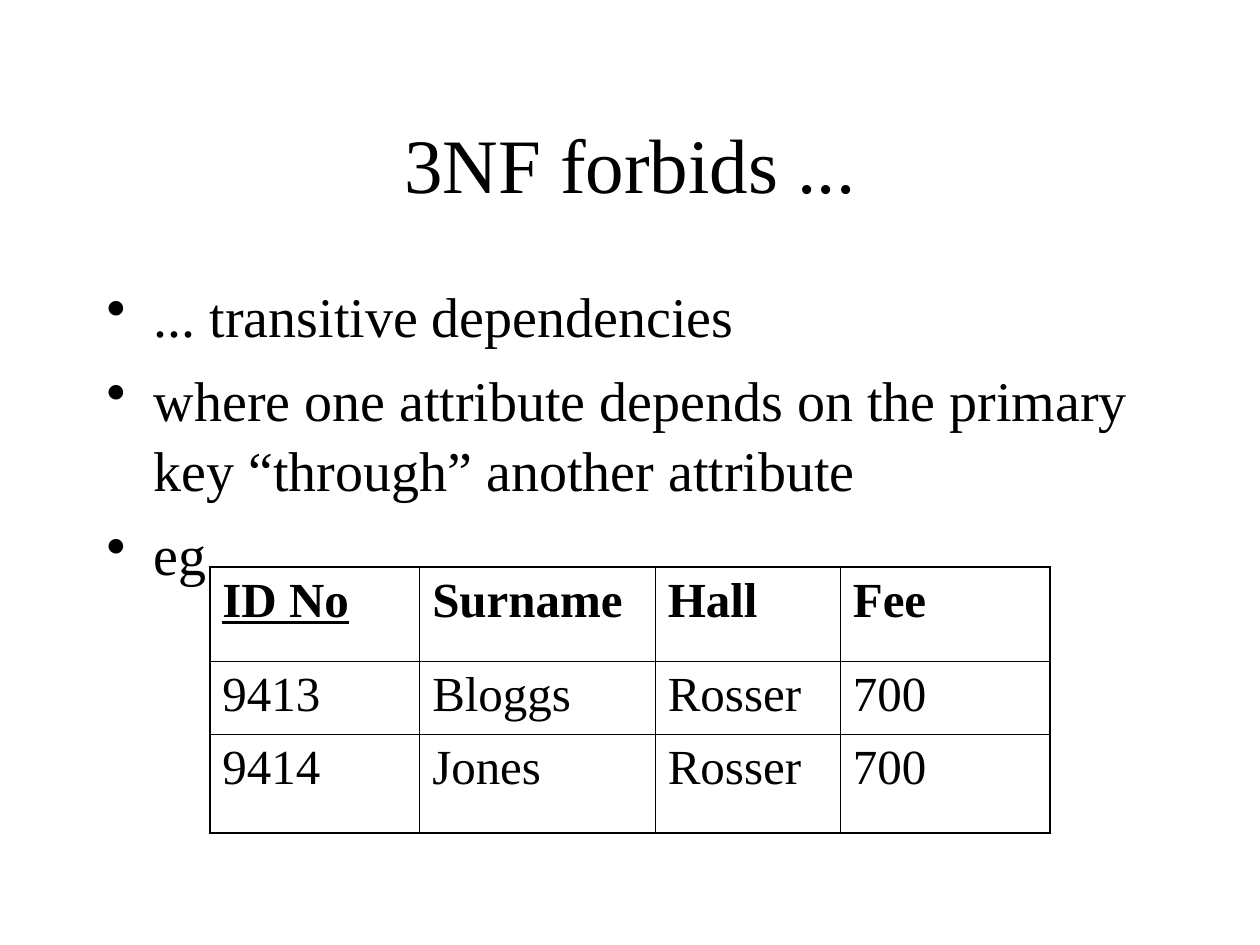
from lxml import etree
from pptx import Presentation
from pptx.dml.color import RGBColor
from pptx.enum.text import MSO_ANCHOR, PP_ALIGN
from pptx.oxml.ns import qn
from pptx.util import Cm, Pt

CENTER, LEFT = PP_ALIGN.CENTER, PP_ALIGN.LEFT
MIDDLE, TOP = MSO_ANCHOR.MIDDLE, MSO_ANCHOR.TOP
THICK, THIN = 1.08, 0.45


def colour(hex_code):
    """Turn a hex string into a colour."""
    return RGBColor.from_string(hex_code)


class SlideWriter:
    """Holds the text style and the slide being filled."""

    font_name = "Times New Roman"
    ink = "000000"
    indent = Cm(0.95)

    def __init__(self, slide):
        """Start writing on a slide."""
        self.slide = slide

    def add_run(self, paragraph, words, size, bold=False, underline=False):
        """Add one styled run to a paragraph."""
        run = paragraph.add_run()
        run.text = words
        font = run.font
        font.name, font.size = self.font_name, Pt(size)
        font.bold, font.underline = bold, underline
        font.color.rgb = colour(self.ink)

    def add_bullet(self, paragraph):
        """Give a paragraph a hanging round bullet."""
        properties = paragraph._p.get_or_add_pPr()
        properties.set("marL", str(self.indent))
        properties.set("indent", str(-self.indent))
        etree.SubElement(properties, qn("a:buChar"), char="•")

    def add_text(self, frame_at, lines, size, align=LEFT, anchor=TOP, bulleted=False):
        """Add a wrapped text box with one paragraph per line."""
        frame = self.slide.shapes.add_textbox(*map(Cm, frame_at)).text_frame
        frame.word_wrap = True
        frame.vertical_anchor = anchor
        for index, words in enumerate(lines):
            paragraph = frame.paragraphs[0] if index == 0 else frame.add_paragraph()
            paragraph.alignment = align
            if bulleted:
                paragraph.line_spacing = 1.04
                paragraph.space_before = Pt(8 if index else 0)
                self.add_bullet(paragraph)
            self.add_run(paragraph, words, size)

    def add_border(self, cell, side, width):
        """Draw one side of a cell."""
        line = etree.SubElement(
            cell._tc.get_or_add_tcPr(), qn(f"a:{side}"), w=str(Pt(width))
        )
        fill = etree.SubElement(line, qn("a:solidFill"))
        etree.SubElement(fill, qn("a:srgbClr"), val=self.ink)

    def add_table(self, frame_at, widths, heights, records, size, key):
        """Add a ruled table with a bold header and an underlined key."""
        last_row, last_column = len(heights) - 1, len(widths) - 1
        table = self.slide.shapes.add_table(
            len(heights), len(widths), *map(Cm, frame_at)
        ).table
        table.first_row = table.horz_banding = False
        for column, width in zip(table.columns, widths):
            column.width = Cm(width)
        for row, height in zip(table.rows, heights):
            row.height = Cm(height)
        for r, record in enumerate(records):
            for c, words in enumerate(record):
                cell = table.cell(r, c)
                outer = {"lnL": c == 0, "lnR": c == last_column,
                         "lnT": r == 0, "lnB": r == last_row}
                for side, on_edge in outer.items():
                    self.add_border(cell, side, THICK if on_edge else THIN)
                cell.fill.background()
                self.add_run(cell.text_frame.paragraphs[0], words, size,
                             bold=r == 0, underline=words == key)


def main():
    """Build the slide and save it."""
    deck = Presentation()
    deck.slide_width, deck.slide_height = Cm(25.4), Cm(19.05)
    writer = SlideWriter(deck.slides.add_slide(deck.slide_layouts[6]))
    writer.add_text((1.9, 1.7, 21.6, 3.18), ["3NF forbids ..."], 44, CENTER, MIDDLE)
    rules = [
        "... transitive dependencies",
        "where one attribute depends on the primary key “through” another attribute",
        "eg",
    ]
    writer.add_text((1.9, 5.5, 21.6, 11.43), rules, 32, bulleted=True)
    students = [
        ("ID No", "Surname", "Hall", "Fee"),
        ("9413", "Bloggs", "Rosser", "700"),
        ("9414", "Jones", "Rosser", "700"),
    ]
    writer.add_table((4.23, 11.43, 16.94, 5.36), (4.23, 4.75, 3.73, 4.23),
                     (1.9, 1.48, 1.98), students, 28, key="ID No")
    deck.save("out.pptx")


if __name__ == "__main__":
    main()
